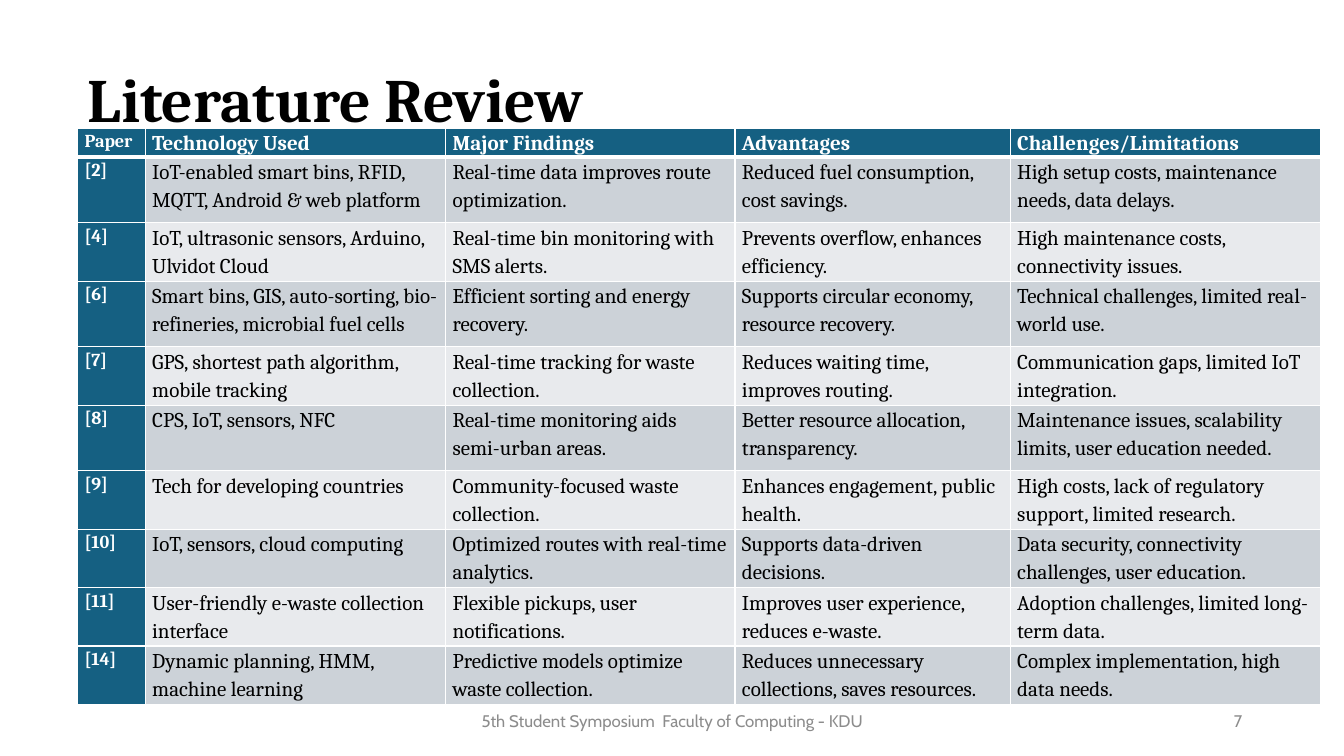
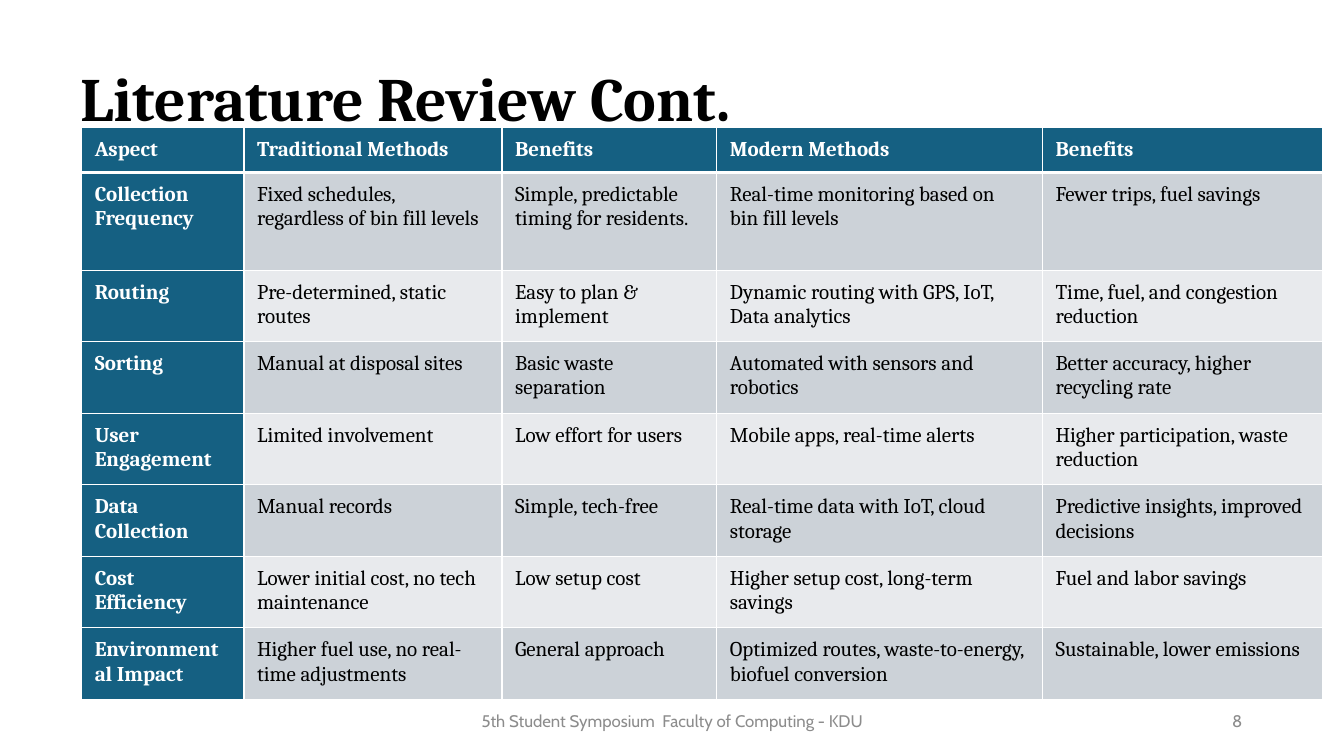
from dataclasses import dataclass

from lxml import etree
from pptx import Presentation
from pptx.dml.color import RGBColor
from pptx.enum.text import MSO_ANCHOR, MSO_AUTO_SIZE, PP_ALIGN
from pptx.oxml.ns import qn
from pptx.presentation import Presentation as Deck
from pptx.slide import Slide
from pptx.table import _Cell
from pptx.text.text import _Paragraph
from pptx.util import Inches, Pt

TOP, MIDDLE = MSO_ANCHOR.TOP, MSO_ANCHOR.MIDDLE
LEFT, CENTER, RIGHT = PP_ALIGN.LEFT, PP_ALIGN.CENTER, PP_ALIGN.RIGHT
FIT_NONE = MSO_AUTO_SIZE.NONE
TITLE_ONLY = 5

COLORS = {
    "header": "156082",
    "dark_band": "CCD2D8",
    "light_band": "E8EAED",
    "white": "FFFFFF",
    "black": "000000",
    "footer": "8C8C8C",
}
SERIF, SANS = "Cambria", "Cabin"
FOOTER = "5th Student Symposium  Faculty of Computing - KDU"


@dataclass(frozen=True)
class Frame:
    left: float
    top: float
    width: float
    height: float


@dataclass(frozen=True)
class TextStyle:
    size: float
    color: str
    font: str = SERIF
    bold: bool = False


@dataclass(frozen=True)
class TableStyle:
    margins: tuple[float, float, float, float]
    key_size: float
    header_anchor: MSO_ANCHOR
    line_spacing: float = 1.0
    space_after: float = 0


@dataclass(frozen=True)
class TablePage:
    number: int
    title: str
    title_frame: Frame
    left: float
    top: float
    columns: list[float]
    rows: list[float]
    style: TableStyle
    cells: list[tuple[str, ...]]


TITLE_STYLE = TextStyle(44, "black", bold=True)
FOOTER_STYLE = TextStyle(12, "footer", SANS)
BODY_SIZE = 15

PAGES = [
    TablePage(
        number=7,
        title="Literature Review",
        title_frame=Frame(0.77, 0.55, 6.86, 0.84),
        left=0.77,
        top=1.27,
        columns=[0.67, 2.98, 2.87, 2.73, 3.08],
        rows=[0.29] + [0.65, 0.58] * 3 + [0.58] * 3,
        style=TableStyle((0.07, 0, 0.07, 0), 13, TOP, 1.15, 8),
        cells=[
            ("Paper", "Technology Used", "Major Findings", "Advantages", "Challenges/Limitations"),
            ("[2]", "IoT-enabled smart bins, RFID, MQTT, Android & web platform",
             "Real-time data improves route optimization.",
             "Reduced fuel consumption, cost savings.",
             "High setup costs, maintenance needs, data delays."),
            ("[4]", "IoT, ultrasonic sensors, Arduino, Ulvidot Cloud",
             "Real-time bin monitoring with SMS alerts.",
             "Prevents overflow, enhances efficiency.",
             "High maintenance costs, connectivity issues."),
            ("[6]", "Smart bins, GIS, auto-sorting, bio-refineries, microbial fuel cells",
             "Efficient sorting and energy recovery.",
             "Supports circular economy, resource recovery.",
             "Technical challenges, limited real-world use."),
            ("[7]", "GPS, shortest path algorithm, mobile tracking",
             "Real-time tracking for waste collection.",
             "Reduces waiting time, improves routing.",
             "Communication gaps, limited IoT integration."),
            ("[8]", "CPS, IoT, sensors, NFC",
             "Real-time monitoring aids semi-urban areas.",
             "Better resource allocation, transparency.",
             "Maintenance issues, scalability limits, user education needed."),
            ("[9]", "Tech for developing countries",
             "Community-focused waste collection.",
             "Enhances engagement, public health.",
             "High costs, lack of regulatory support, limited research."),
            ("[10]", "IoT, sensors, cloud computing",
             "Optimized routes with real-time analytics.",
             "Supports data-driven decisions.",
             "Data security, connectivity challenges, user education."),
            ("[11]", "User-friendly e-waste collection interface",
             "Flexible pickups, user notifications.",
             "Improves user experience, reduces e-waste.",
             "Adoption challenges, limited long-term data."),
            ("[14]", "Dynamic planning, HMM, machine learning",
             "Predictive models optimize waste collection.",
             "Reduces unnecessary collections, saves resources.",
             "Complex implementation, high data needs."),
        ],
    ),
    TablePage(
        number=8,
        title="Literature Review Cont.",
        title_frame=Frame(0.7, 0.54, 7.45, 0.84),
        left=0.81,
        top=1.26,
        columns=[1.61, 2.56, 2.13, 3.23, 2.78],
        rows=[0.44, 0.97] + [0.71] * 6,
        style=TableStyle((0.13, 0.1, 0.15, 0.1), BODY_SIZE, MIDDLE),
        cells=[
            ("Aspect", "Traditional Methods", "Benefits", "Modern Methods", "Benefits"),
            ("Collection Frequency", "Fixed schedules,\nregardless of bin fill levels",
             "Simple, predictable timing for residents.",
             "Real-time monitoring based on bin fill levels",
             "Fewer trips, fuel savings"),
            ("Routing", "Pre-determined, static routes",
             "Easy to plan &\nimplement",
             "Dynamic routing with GPS, IoT, Data analytics",
             "Time, fuel, and congestion reduction"),
            ("Sorting", "Manual at disposal sites",
             "Basic waste separation",
             "Automated with sensors and robotics",
             "Better accuracy, higher recycling rate"),
            ("User Engagement", "Limited involvement",
             "Low effort for users",
             "Mobile apps, real-time alerts",
             "Higher participation, waste reduction"),
            ("Data Collection", "Manual records",
             "Simple, tech-free",
             "Real-time data with IoT, cloud storage",
             "Predictive insights, improved decisions"),
            ("Cost Efficiency", "Lower initial cost, no tech maintenance",
             "Low setup cost",
             "Higher setup cost, long-term savings",
             "Fuel and labor savings"),
            ("Environmental Impact", "Higher fuel use, no real-time adjustments",
             "General approach",
             "Optimized routes, waste-to-energy, biofuel conversion",
             "Sustainable, lower emissions"),
        ],
    ),
]


def rgb(name: str) -> RGBColor:
    return RGBColor.from_string(COLORS[name])


def add_span(para: _Paragraph, text: str, style: TextStyle) -> None:
    span = para.add_run()
    span.text = text
    span.font.name = style.font
    span.font.size = Pt(style.size)
    span.font.bold = style.bold
    span.font.color.rgb = rgb(style.color)


def draw_title(page: Slide, title: str, frame: Frame) -> None:
    box = page.shapes.title
    box.left, box.top = Inches(frame.left), Inches(frame.top)
    box.width, box.height = Inches(frame.width), Inches(frame.height)
    text_frame = box.text_frame
    text_frame.word_wrap = True
    text_frame.auto_size = FIT_NONE
    text_frame.vertical_anchor = TOP
    para = text_frame.paragraphs[0]
    para.alignment = LEFT
    add_span(para, title, TITLE_STYLE)


def draw_footer(page: Slide, text: str, left: float, width: float, align: PP_ALIGN) -> None:
    box = page.shapes.add_textbox(Inches(left), Inches(6.95), Inches(width), Inches(0.4))
    box.text_frame.word_wrap = True
    box.text_frame.vertical_anchor = MIDDLE
    para = box.text_frame.paragraphs[0]
    para.alignment = align
    para.space_after = Pt(6)
    add_span(para, text, FOOTER_STYLE)


def set_borders(cell: _Cell, bottom: float) -> None:
    properties = cell._tc.get_or_add_tcPr()
    widths = {"a:lnL": 1, "a:lnR": 1, "a:lnT": 1, "a:lnB": bottom}
    for position, (tag, width) in enumerate(widths.items()):
        line = etree.Element(qn(tag), w=str(Pt(width)))
        fill = etree.SubElement(line, qn("a:solidFill"))
        etree.SubElement(fill, qn("a:srgbClr"), val=COLORS["white"])
        properties.insert(position, line)


def fill_cell(cell: _Cell, text: str, row: int, column: int, style: TableStyle) -> None:
    is_label = row == 0 or column == 0
    band = "dark_band" if row % 2 else "light_band"
    cell.fill.solid()
    cell.fill.fore_color.rgb = rgb("header" if is_label else band)
    set_borders(cell, bottom=3 if row == 0 else 1)
    left, top, right, bottom = style.margins
    cell.margin_left, cell.margin_top = Inches(left), Inches(top)
    cell.margin_right, cell.margin_bottom = Inches(right), Inches(bottom)
    cell.vertical_anchor = style.header_anchor if row == 0 else TOP
    size = style.key_size if column == 0 else BODY_SIZE
    text_style = TextStyle(size, "white" if is_label else "black", bold=is_label)
    for index, line in enumerate(text.split("\n")):
        para = cell.text_frame.add_paragraph() if index else cell.text_frame.paragraphs[0]
        para.line_spacing = style.line_spacing
        para.space_after = Pt(style.space_after)
        add_span(para, line, text_style)


def draw_table(page: Slide, content: TablePage) -> None:
    table = page.shapes.add_table(
        len(content.rows), len(content.columns),
        Inches(content.left), Inches(content.top),
        Inches(sum(content.columns)), Inches(sum(content.rows)),
    ).table
    for column, width in zip(table.columns, content.columns):
        column.width = Inches(width)
    for row, height in zip(table.rows, content.rows):
        row.height = Inches(height)
    for row_index, texts in enumerate(content.cells):
        for column_index, text in enumerate(texts):
            cell = table.cell(row_index, column_index)
            fill_cell(cell, text, row_index, column_index, content.style)


def draw_page(deck: Deck, content: TablePage) -> None:
    page = deck.slides.add_slide(deck.slide_layouts[TITLE_ONLY])
    draw_title(page, content.title, content.title_frame)
    draw_footer(page, FOOTER, 4.42, 4.5, CENTER)
    draw_footer(page, str(content.number), 9.42, 3, RIGHT)
    draw_table(page, content)


def main() -> None:
    deck = Presentation()
    deck.slide_width, deck.slide_height = Inches(13.33), Inches(7.5)
    for content in PAGES:
        draw_page(deck, content)
    deck.save("out.pptx")


if __name__ == "__main__":
    main()
